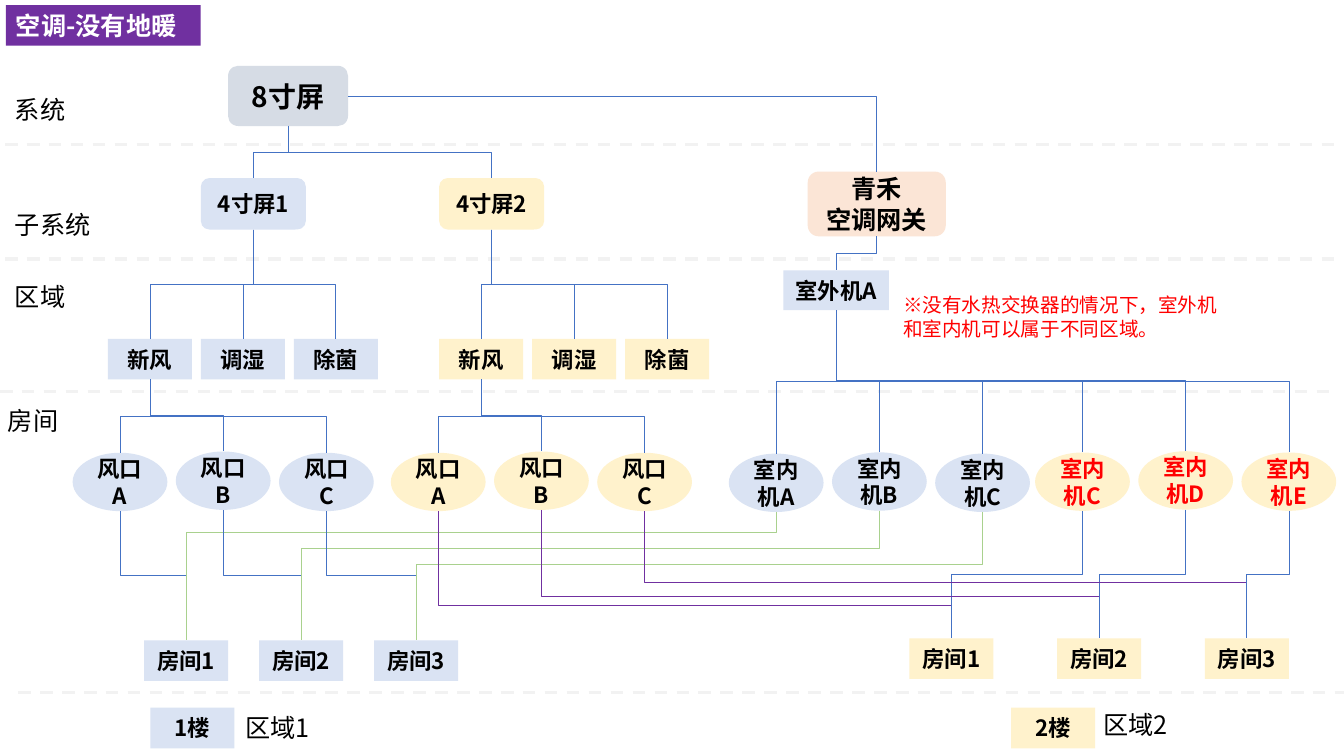
from pptx import Presentation
from pptx.dml.color import RGBColor
from pptx.enum.dml import MSO_LINE
from pptx.enum.shapes import MSO_CONNECTOR, MSO_SHAPE
from pptx.enum.text import MSO_ANCHOR, PP_ALIGN
from pptx.oxml.ns import qn
from pptx.util import Pt
from lxml.etree import SubElement

FONT = "Noto Sans CJK SC"
COLORS = {
    "black": "000000", "white": "FFFFFF", "red": "FF0000", "divider": "F2F2F2",
    "gray": "D6DCE5", "peach": "FBE5D6", "lightblue": "DAE3F3", "cream": "FFF2CC",
    "blue": "4472C4", "green": "A9D18E", "purple": "7030A0",
}
RECT, ROUND, OVAL = MSO_SHAPE.RECTANGLE, MSO_SHAPE.ROUNDED_RECTANGLE, MSO_SHAPE.OVAL

prs = Presentation()
prs.slide_width, prs.slide_height = Pt(960), Pt(540)
s = prs.slides.add_slide(prs.slide_layouts[6])


def add_text(text, x, y, w, h, kind=None, fill=None, size=16, color="black", centered=True):
    """Add a filled shape, or a plain text box when kind is None."""
    box = [Pt(v) for v in (x, y, w, h)]
    if kind is None:
        sp = s.shapes.add_textbox(*box)
    else:
        sp = s.shapes.add_shape(kind, *box)
        sp.shadow.inherit = False
        sp.fill.solid()
        sp.fill.fore_color.rgb = RGBColor.from_string(COLORS[fill])
        sp.line.fill.background()
    tf = sp.text_frame
    tf.word_wrap = True
    tf.text = text
    tf.vertical_anchor = MSO_ANCHOR.MIDDLE if kind and centered else MSO_ANCHOR.TOP
    for p in tf.paragraphs:
        p.alignment = PP_ALIGN.CENTER if kind and centered else PP_ALIGN.LEFT
        for r in p.runs:
            r.font.name = FONT
            r.font.size = Pt(size)
            r.font.bold = kind is not None
            r.font.color.rgb = RGBColor.from_string(COLORS[color])
            SubElement(r.font._element, qn("a:ea"), typeface=FONT)
    return sp


def link(start, end, color="blue", bend=0.5, from_side=False):
    """Elbow line to the top of end, from the bottom (or right side) of start."""
    c = s.shapes.add_connector(MSO_CONNECTOR.ELBOW, 0, 0, 0, 0)
    c.begin_connect(start, 3 if from_side else 2)
    c.end_connect(end, 0)
    c.line.color.rgb = RGBColor.from_string(COLORS[color])
    c.line.width = Pt(0.5)
    spPr = c._element.spPr
    SubElement(spPr, qn("a:effectLst"))
    geom = spPr.find(qn("a:prstGeom"))
    if from_side:
        geom.set("prst", "bentConnector2")
        return
    # A vertical-horizontal-vertical elbow is a turned horizontal one
    x1, y1, x2, y2 = c.begin_x, c.begin_y, c.end_x, c.end_y
    w, h = y2 - y1, abs(x2 - x1)
    c.left, c.top = (x1 + x2 - w) // 2, (y1 + y2 - h) // 2
    c.width, c.height = w, h
    xfrm = spPr.find(qn("a:xfrm"))
    xfrm.set("rot", "16200000" if x2 > x1 else "5400000")
    xfrm.set("flipH", "1" if x2 > x1 else "0")
    xfrm.set("flipV", "0")
    SubElement(geom.find(qn("a:avLst")), qn("a:gd"),
               name="adj1", fmla=f"val {round(bend * 100000)}")
    if start.auto_shape_type == OVAL:
        # An ellipse has eight connection sites, with the bottom one fifth
        c._element.find(".//" + qn("a:stCxn")).set("idx", "4")


# Level dividers
for x, y in [(3.6, 103), (3.6, 185), (0, 279.5), (13, 494.6)]:
    divider = s.shapes.add_connector(MSO_CONNECTOR.STRAIGHT, Pt(x), Pt(y), Pt(x + 953.3), Pt(y))
    divider.line.color.rgb = RGBColor.from_string(COLORS["divider"])
    divider.line.width = Pt(2.25)
    divider.line.dash_style = MSO_LINE.DASH
    SubElement(divider._element.spPr, qn("a:effectLst"))

# Level names
for name, x, y in [("系统", 3.6, 64), ("子系统", 3.6, 146), ("区域", 3.6, 197.3), ("房间", -1.4, 286)]:
    add_text(name, x, y, 85.7, 29, size=18)

# Title and note
add_text("空调-没有地暖", 4.3, 3.6, 139, 29, RECT, "purple", 18, "white", centered=False)
add_text("※没有水热交换器的情况下，室外机和室内机可以属于不同区域。",
         638, 206, 239, 41, size=14, color="red")

# Main screen, gateway and outdoor unit
main_screen = add_text("8寸屏", 162.9, 47, 85.7, 43, ROUND, "gray", 20)
gateway = add_text("青禾\n空调网关", 577, 122.6, 98.6, 46.2, ROUND, "peach", 18)
outdoor = add_text("室外机A", 559.6, 193.1, 75.4, 28.4, RECT, "lightblue")
link(main_screen, gateway, from_side=True)
link(gateway, outdoor)

# The two floors
floors = [
    dict(no=1, fill="lightblue", ink="black", screen_x=143.5, module_x=77.1, vent_x=51.9,
         indoor_x=520.6, indoor_y=324, letters="ABC",
         room_x=103, room_y=457.4, room_step=82.1,
         vent_line="blue", vent_bends=(0.5, 0.5, 0.5),
         indoor_line="green", indoor_bends=(0.16, 0.29, 0.41),
         tag_x=107.4, area_x=168, area_y=505.5),
    dict(no=2, fill="cream", ink="red", screen_x=313.7, module_x=313.7, vent_x=279.2,
         indoor_x=739.4, indoor_y=323.2, letters="CDE",
         room_x=649.6, room_y=456, room_step=105.5,
         vent_line="purple", vent_bends=(0.74, 0.67, 0.56),
         indoor_line="blue", indoor_bends=(0.5, 0.5, 0.5),
         tag_x=722.2, area_x=781.2, area_y=502.8),
]
for f in floors:
    fill = f["fill"]
    screen = add_text(f"4寸屏{f['no']}", f["screen_x"], 127.2, 75, 36.8, ROUND, fill)
    link(main_screen, screen)

    modules = [add_text(name, f["module_x"] + 66.4 * i, 242, 60, 29, RECT, fill)
               for i, name in enumerate(["新风", "调湿", "除菌"])]
    for module in modules:
        link(screen, module)

    for i in range(3):
        raise_by = 0.9 if i == 1 else 0
        vent = add_text(f"风口{'ABC'[i]}", f["vent_x"] + 73.7 * i, 323.4 - raise_by,
                        67.7, 41.7, OVAL, fill)
        indoor = add_text(f"室内机{f['letters'][i]}", f["indoor_x"] + 73.7 * i,
                          f["indoor_y"] - raise_by, 67.7, 41.7, OVAL, fill, color=f["ink"])
        room = add_text(f"房间{i + 1}", f["room_x"] + f["room_step"] * i, f["room_y"],
                        60, 29, RECT, fill)
        link(modules[0], vent)
        link(outdoor, indoor)
        link(vent, room, f["vent_line"], f["vent_bends"][i])
        link(indoor, room, f["indoor_line"], f["indoor_bends"][i])

    # Floor tag and area name
    add_text(f"{f['no']}楼", f["tag_x"], 505.5, 60, 29, RECT, fill)
    add_text(f"区域{f['no']}", f["area_x"], f["area_y"], 159, 29, size=18)

prs.save("out.pptx")
